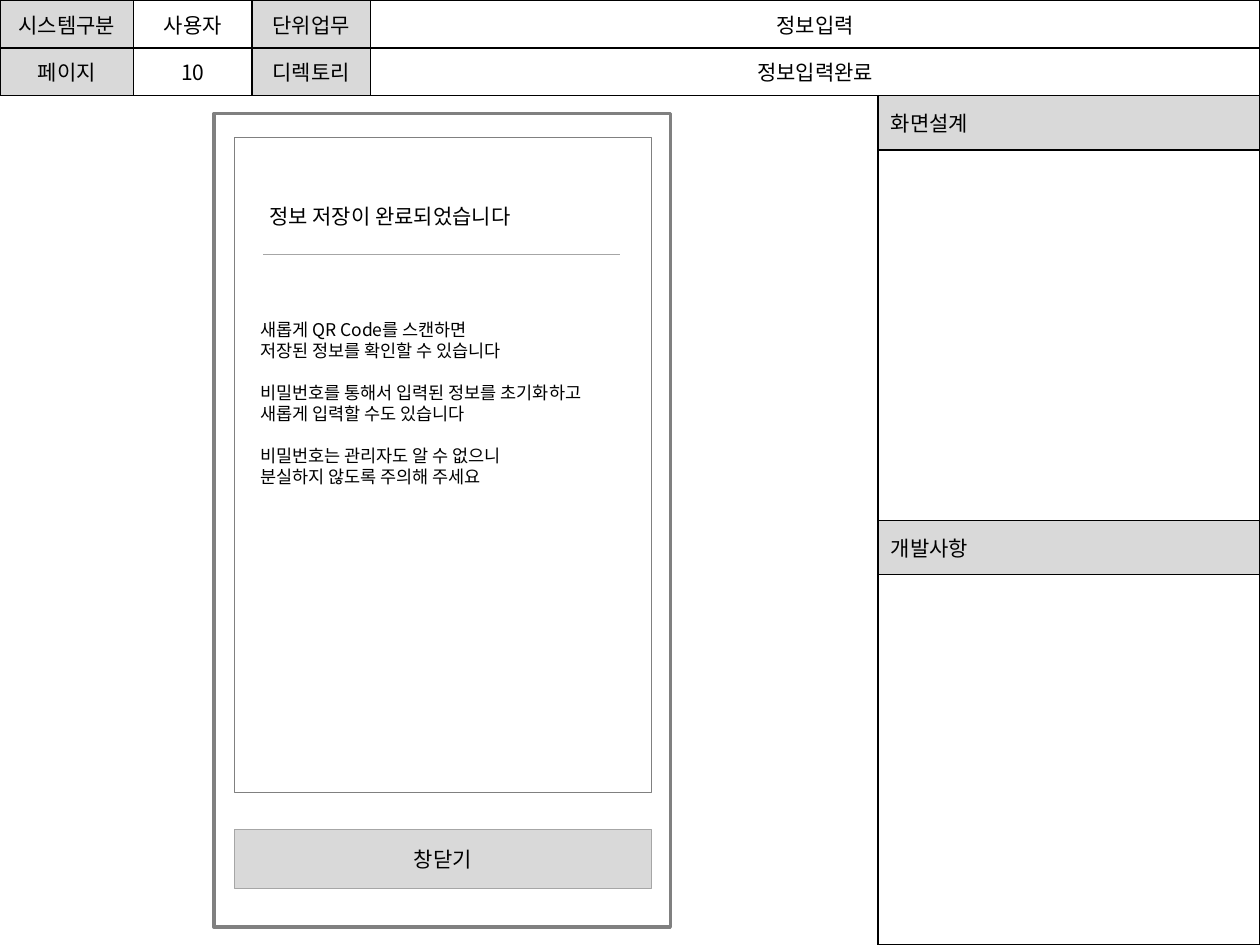
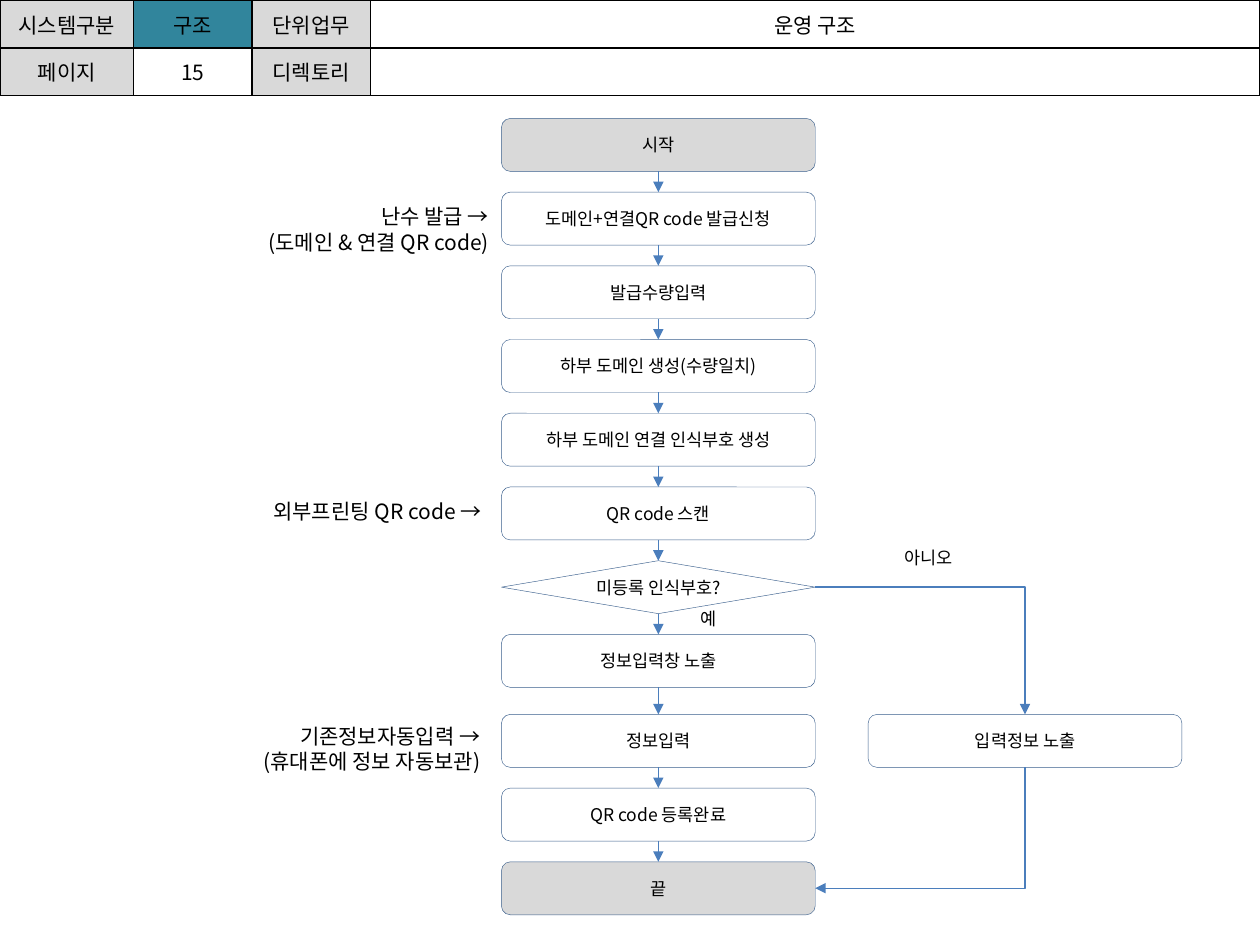
"""Build two storyboard slides: a completion screen and an operation flow."""
from lxml.etree import SubElement
from pptx import Presentation
from pptx.dml.color import RGBColor
from pptx.enum.shapes import MSO_CONNECTOR, MSO_SHAPE
from pptx.enum.text import MSO_ANCHOR, PP_ALIGN
from pptx.oxml.ns import qn
from pptx.util import Inches, Pt

FONT = "Noto Sans CJK KR"
COLORS = {
    "text": "000000", "white": "FFFFFF", "label": "D9D9D9", "accent": "31859C",
    "frame": "808080", "rule": "A6A6A6", "outline": "3A5F8C", "arrow": "4B7EBC",
}
RGB = {name: RGBColor.from_string(value) for name, value in COLORS.items()}
WIDTH, HEIGHT = 10, 7.5
ROW = 0.38
HEADER_H = 2 * ROW
HEADER_COLS = [1.06, 0.94, 0.94, 7.06]
SIDE_X = 6.97
SIDE_W = WIDTH - SIDE_X
SIDE_LABEL_H = 0.43
SIDE_BODY_H = (HEIGHT - HEADER_H) / 2 - SIDE_LABEL_H


def write(tf, lines, size, align):
    """Fill a text frame, adding a one-line gap before lines marked by a tuple."""
    for i, line in enumerate(lines):
        p = tf.paragraphs[0] if i == 0 else tf.add_paragraph()
        if isinstance(line, tuple):
            line = line[0]
            p.space_before = Pt(12)
        p.text = line
        p.alignment = align
        p.font.size = Pt(size)
        p.font.name = FONT
        p.font.color.rgb = RGB["text"]
        SubElement(p.font._element, qn("a:ea"), typeface=FONT)


def add_box(slide, kind, x, y, w, h, fill, line, weight=0.25, text="", size=10):
    """Add an outlined preset shape with optional centred text."""
    sp = slide.shapes.add_shape(kind, Inches(x), Inches(y), Inches(w), Inches(h))
    sp.shadow.inherit = False
    if fill:
        sp.fill.solid()
        sp.fill.fore_color.rgb = RGB[fill]
    else:
        sp.fill.background()
    sp.line.color.rgb = RGB[line]
    sp.line.width = Pt(weight)
    if text:
        sp.text_frame.vertical_anchor = MSO_ANCHOR.MIDDLE
        write(sp.text_frame, [text], size, PP_ALIGN.CENTER)
    return sp


prs = Presentation()
prs.slide_width, prs.slide_height = Inches(WIDTH), Inches(HEIGHT)
screen, flow = [prs.slides.add_slide(prs.slide_layouts[6]) for _ in range(2)]

tables = [
    (screen, 0, 0, HEADER_COLS, [ROW] * 2, PP_ALIGN.CENTER,
     [["시스템구분", "사용자", "단위업무", "정보입력"],
      ["페이지", "10", "디렉토리", "정보입력완료"]]),
    (screen, SIDE_X, HEADER_H, [SIDE_W], [SIDE_LABEL_H, SIDE_BODY_H] * 2, PP_ALIGN.LEFT,
     [["화면설계"], [""], ["개발사항"], [""]]),
    (flow, 0, 0, HEADER_COLS, [ROW] * 2, PP_ALIGN.CENTER,
     [["시스템구분", "구조", "단위업무", "운영 구조"],
      ["페이지", "15", "디렉토리", ""]]),
]
label_texts = {"시스템구분", "단위업무", "페이지", "디렉토리", "화면설계", "개발사항"}
for slide, x, y, cols, rows, align, texts in tables:
    table = slide.shapes.add_table(len(rows), len(cols), Inches(x), Inches(y),
                                   Inches(sum(cols)), Inches(sum(rows))).table
    table.first_row = table.horz_banding = False
    for column, w in zip(table.columns, cols):
        column.width = Inches(w)
    for row, h, row_texts in zip(table.rows, rows, texts):
        row.height = Inches(h)
        for cell, text in zip(row.cells, row_texts):
            cell.vertical_anchor = MSO_ANCHOR.MIDDLE
            cell.margin_top = cell.margin_bottom = 0
            write(cell.text_frame, [text], 12, align)
            tcPr = cell._tc.get_or_add_tcPr()
            for side in ("lnL", "lnR", "lnT", "lnB"):
                ln = SubElement(tcPr, qn(f"a:{side}"), w=str(Pt(1)))
                SubElement(SubElement(ln, qn("a:solidFill")), qn("a:srgbClr"), val=COLORS["text"])
            fill = "label" if text in label_texts else "accent" if text == "구조" else "white"
            cell.fill.solid()
            cell.fill.fore_color.rgb = RGB[fill]

PANEL_X, PANEL_W = 1.86, 3.31
add_box(screen, MSO_SHAPE.RECTANGLE, 1.7, 0.9, 3.62, 6.46, "white", "frame", 2)
add_box(screen, MSO_SHAPE.RECTANGLE, PANEL_X, 6.58, PANEL_W, 0.47, "label", "rule",
        text="창닫기", size=12)
add_box(screen, MSO_SHAPE.RECTANGLE, PANEL_X, 1.09, PANEL_W, 5.2, None, "frame")
rule = screen.shapes.add_connector(MSO_CONNECTOR.STRAIGHT, Inches(2.09), Inches(2.02),
                                   Inches(4.92), Inches(2.02))
rule.line.color.rgb = RGB["rule"]
rule.line.width = Pt(0.75)
SubElement(rule._element.spPr, qn("a:effectLst"))

STEP_X, STEP_Y, STEP_W, STEP_H = 3.98, 0.94, 2.49, 0.42
PITCH = 5.85 / 10
INPUT_ROW, INPUT_GAP = 8, 0.05
step_texts = [
    "시작", "도메인+연결QR code 발급신청", "발급수량입력", "하부 도메인 생성(수량일치)",
    "하부 도메인 연결 인식부호 생성", "QR code 스캔", "미등록 인식부호?",
    "정보입력창 노출", "정보입력", "QR code 등록완료", "끝",
]
steps = []
for i, text in enumerate(step_texts):
    kind = MSO_SHAPE.DIAMOND if text.endswith("?") else MSO_SHAPE.ROUNDED_RECTANGLE
    y = STEP_Y + i * PITCH + (INPUT_GAP if i >= INPUT_ROW else 0)
    fill = "label" if text in ("시작", "끝") else "white"
    steps.append(add_box(flow, kind, STEP_X, y, STEP_W, STEP_H, fill, "outline", text=text))
shown = add_box(flow, MSO_SHAPE.ROUNDED_RECTANGLE, 6.89,
                STEP_Y + INPUT_ROW * PITCH + INPUT_GAP, STEP_W, STEP_H,
                "white", "outline", text="입력정보 노출")

TOP, BOTTOM, RIGHT = 0, 2, 3
links = [(a, BOTTOM, b, TOP, "tailEnd") for a, b in zip(steps, steps[1:])]
links += [(steps[6], RIGHT, shown, TOP, "tailEnd"), (steps[-1], RIGHT, shown, BOTTOM, "headEnd")]
for start, start_site, end, end_site, arrow_end in links:
    bent = start_site == RIGHT
    cxn = flow.shapes.add_connector(MSO_CONNECTOR.ELBOW if bent else MSO_CONNECTOR.STRAIGHT,
                                    0, 0, 0, 0)
    cxn.begin_connect(start, start_site)
    cxn.end_connect(end, end_site)
    if bent:
        cxn._element.spPr.find(qn("a:prstGeom")).set("prst", "bentConnector2")
    cxn.line.color.rgb = RGB["arrow"]
    cxn.line.width = Pt(0.75)
    SubElement(cxn.line._get_or_add_ln(), qn(f"a:{arrow_end}"), type="triangle")
    SubElement(cxn._element.spPr, qn("a:effectLst"))

notes = [
    (screen, 2.04, 1.57, 2.33, 0.3, 12, PP_ALIGN.LEFT, ["정보 저장이 완료되었습니다"]),
    (screen, 1.97, 2.48, 3.06, 1.45, 10, PP_ALIGN.LEFT,
     ["새롭게 QR Code를 스캔하면", "저장된 정보를 확인할 수 있습니다",
      ("비밀번호를 통해서 입력된 정보를 초기화하고",), "새롭게 입력할 수도 있습니다",
      ("비밀번호는 관리자도 알 수 없으니",), "분실하지 않도록 주의해 주세요"]),
    (flow, 7.06, 4.29, 0.62, 0.27, 10, PP_ALIGN.CENTER, ["아니오"]),
    (flow, 5.45, 4.78, 0.34, 0.27, 10, PP_ALIGN.CENTER, ["예"]),
    (flow, 1.78, 1.57, 2.2, 0.5, 12, PP_ALIGN.RIGHT, ["난수 발급 →", "(도메인 & 연결 QR code)"]),
    (flow, 1.79, 5.69, 2.12, 0.5, 12, PP_ALIGN.RIGHT,
     ["기존정보자동입력 →", "(휴대폰에 정보 자동보관)"]),
    (flow, 1.91, 3.91, 2.01, 0.3, 12, PP_ALIGN.RIGHT, ["외부프린팅 QR code →"]),
]
for slide, x, y, w, h, size, align, lines in notes:
    tf = slide.shapes.add_textbox(Inches(x), Inches(y), Inches(w), Inches(h)).text_frame
    tf.word_wrap = False
    write(tf, lines, size, align)

prs.save("out.pptx")
